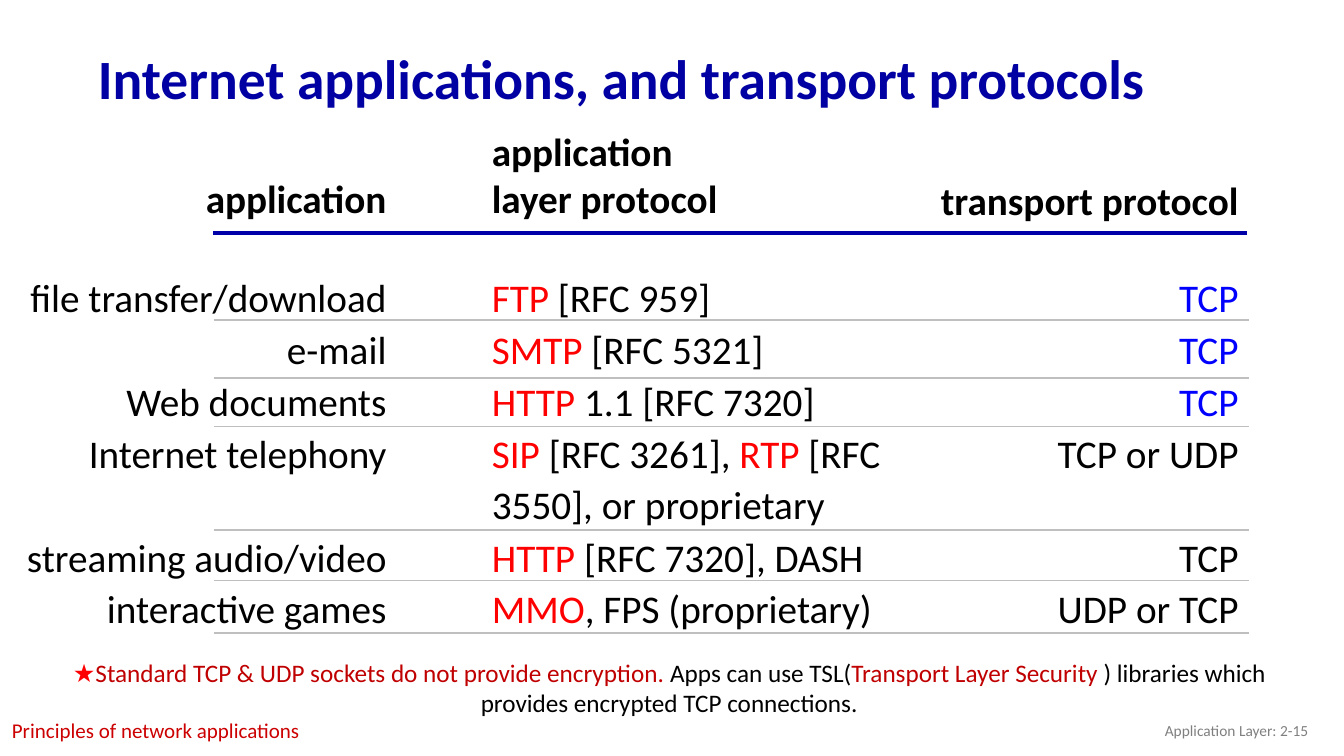
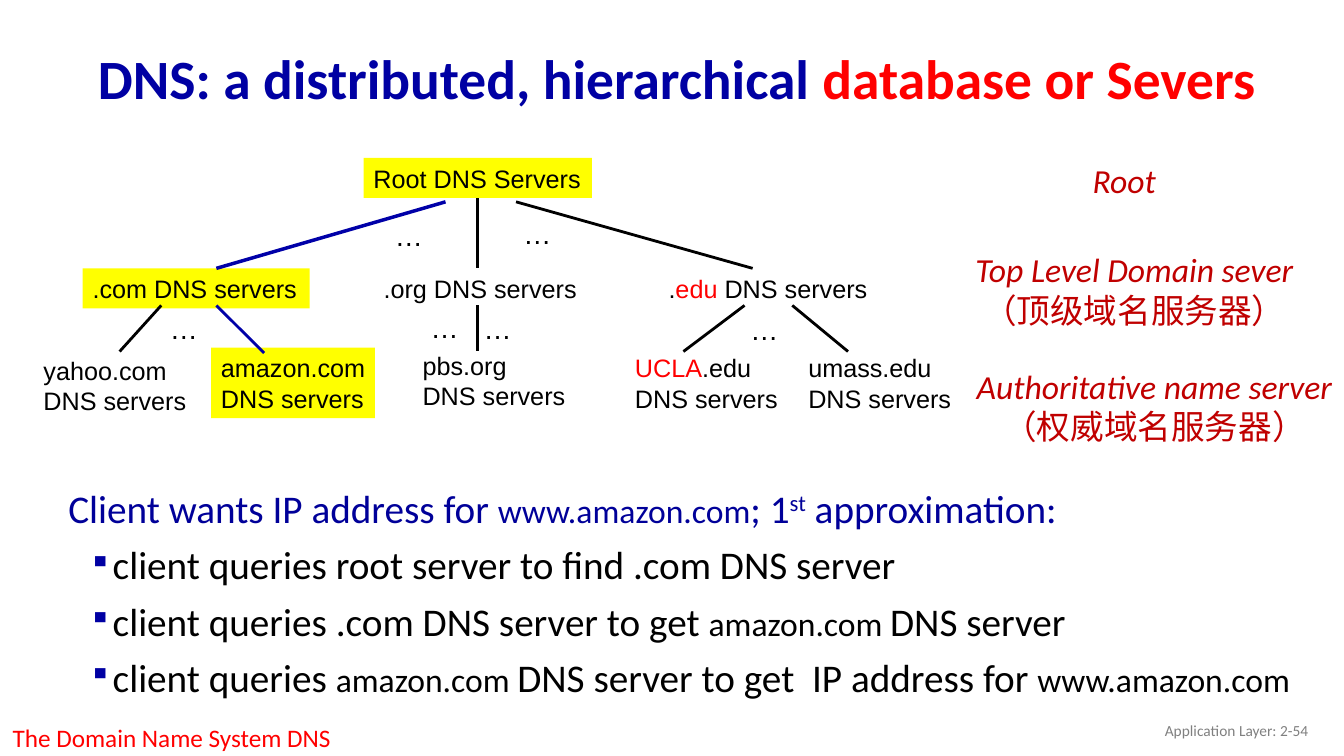
from typing import NamedTuple, Optional

from lxml import etree
from pptx import Presentation
from pptx import util as u
from pptx.dml.color import RGBColor
from pptx.enum import shapes, text
from pptx.oxml.ns import qn

WIDTH, HEIGHT = 13.33, 7.5
COLORS = {
    "title": "0000A3", "rule": "0000A8", "client": "000099", "blue": "0000FF",
    "red": "FF0000", "dark red": "C00000", "section": "CC0000",
    "black": "000000", "gray": "808080", "light gray": "BFBFBF", "yellow": "FFFF00",
}
LEFT, CENTER, RIGHT = text.PP_ALIGN.LEFT, text.PP_ALIGN.CENTER, text.PP_ALIGN.RIGHT
TOP, MIDDLE, BOTTOM = text.MSO_ANCHOR.TOP, text.MSO_ANCHOR.MIDDLE, text.MSO_ANCHOR.BOTTOM


class Box(NamedTuple):
    """A rectangle in percent of the slide's width and height."""
    left: float
    top: float
    width: float
    height: float


class Run(NamedTuple):
    text: str
    color: Optional[str] = None
    size: Optional[float] = None
    italic: Optional[bool] = None
    raised: bool = False


class Column(NamedTuple):
    width: float
    align: text.PP_ALIGN
    indent: float
    header_gap: float


class Entry(NamedTuple):
    application: str
    protocol: list
    transport: str
    color: str
    lines: int
    rule: float


class Node(NamedTuple):
    box: Box
    lines: list
    fill: Optional[str] = None


class Edge(NamedTuple):
    start: tuple
    end: tuple
    color: str = "black"
    width: float = 2


class Label(NamedTuple):
    box: Box
    lines: list


def across(share: float) -> int:
    return u.Inches(WIDTH * share / 100)


def down(share: float) -> int:
    return u.Inches(HEIGHT * share / 100)


def rgb(name: str) -> RGBColor:
    return RGBColor.from_string(COLORS[name])


def add_bullet(paragraph) -> None:
    properties = paragraph._p.get_or_add_pPr()
    properties.set("marL", str(u.Inches(0.44)))
    properties.set("indent", str(u.Inches(-0.24)))
    color = etree.SubElement(properties, qn("a:buClr"))
    etree.SubElement(color, qn("a:srgbClr")).set("val", COLORS["title"])
    etree.SubElement(properties, qn("a:buSzPct")).set("val", "80000")
    etree.SubElement(properties, qn("a:buChar")).set("char", "▪")


def write(frame, paragraphs: list, *, size: float, color: str = "black",
          font: str = "Calibri", bold: bool = False, italic: bool = False,
          align=LEFT, spacing: float = 1, before: float = 0,
          bullets_from: Optional[int] = None) -> None:
    """Fill a text frame; a paragraph is a string or a list of strings and Runs."""
    for index, content in enumerate(paragraphs):
        paragraph = frame.add_paragraph() if index else frame.paragraphs[0]
        if bullets_from is not None and index >= bullets_from:
            add_bullet(paragraph)
        paragraph.alignment = align
        paragraph.line_spacing = spacing
        paragraph.space_before = u.Pt(before if index else 0)
        for part in [content] if isinstance(content, str) else content:
            style = Run(part) if isinstance(part, str) else part
            run = paragraph.add_run()
            run.text = style.text
            run.font.name = font
            run.font.size = u.Pt(style.size or size)
            run.font.bold = bold
            run.font.italic = italic if style.italic is None else style.italic
            run.font.color.rgb = rgb(style.color or color)
            if style.raised:
                run._r.get_or_add_rPr().set("baseline", "30000")


def add_text(slide, box: Box, paragraphs: list, *, fill: Optional[str] = None,
             wrap: bool = True, anchor=TOP, **style):
    place = across(box.left), down(box.top), across(box.width), down(box.height)
    if fill:
        shape = slide.shapes.add_shape(shapes.MSO_SHAPE.RECTANGLE, *place)
        shape.shadow.inherit = False
        shape.fill.solid()
        shape.fill.fore_color.rgb = rgb(fill)
        shape.line.fill.background()
    else:
        shape = slide.shapes.add_textbox(*place)
    shape.text_frame.word_wrap = wrap
    shape.text_frame.vertical_anchor = anchor
    write(shape.text_frame, paragraphs, **style)
    return shape


def add_line(slide, edge: Edge):
    line = slide.shapes.add_connector(
        shapes.MSO_CONNECTOR.STRAIGHT, across(edge.start[0]), down(edge.start[1]),
        across(edge.end[0]), down(edge.end[1]))
    line.line.color.rgb = rgb(edge.color)
    line.line.width = u.Pt(edge.width)
    etree.SubElement(line._element.spPr, qn("a:effectLst"))
    return line


def add_slide(presentation, title: list, page: str):
    """Add a blank slide with the shared title and page number."""
    slide = presentation.slides.add_slide(presentation.slide_layouts[6])
    add_text(slide, Box(6.55, 4.3, 89.2, 13.1), [title], anchor=MIDDLE,
             size=39.6, color="title", bold=True, spacing=0.9)
    add_text(slide, Box(75.6, 94, 22.5, 5.3), [f"Application Layer: {page}"],
             anchor=MIDDLE, size=11, color="gray", align=RIGHT)
    return slide


TABLE_LEFT, TABLE_TOP, HEADER_HEIGHT, ROW_HEIGHT = 0.95, 16.9, 19, 6.87
MARGIN = 0.75
TABLE_COLUMNS = [
    Column(28.55, RIGHT, 0, 6.25),
    Column(39.3, LEFT, 7.1, 6.2),
    Column(24.1, RIGHT, 0, 5.95),
]
HEADERS = [["application"], ["application", "layer protocol"], ["transport protocol"]]
ENTRIES = [
    Entry("file transfer/download", [Run("FTP", "red"), " [RFC 959]"],
          "TCP", "blue", 1, 42.3),
    Entry("e-mail", [Run("SMTP", "red"), " [RFC 5321]"], "TCP", "blue", 1, 50),
    Entry("Web documents", [Run("HTTP ", "red"), "1.1 [RFC 7320]"],
          "TCP", "blue", 1, 56.4),
    Entry("Internet telephony",
          [Run("SIP", "red"), " [RFC 3261], ", Run("RTP", "red"),
           " [RFC 3550], or proprietary"], "TCP or UDP", "black", 2, 70.1),
    Entry("streaming audio/video", [Run("HTTP", "red"), " [RFC 7320], DASH"],
          "TCP", "black", 1, 76.8),
    Entry("interactive games", [Run("MMO", "red"), ", FPS (proprietary)"],
          "UDP or TCP", "black", 1, 83.7),
]


def fill_cell(cell, column: Column, paragraphs: list, *, header: bool = False,
              color: str = "black") -> None:
    cell.fill.background()
    cell.margin_left, cell.margin_right = across(column.indent), across(MARGIN)
    cell.margin_top = 0
    cell.margin_bottom = down(column.header_gap) if header else 0
    cell.vertical_anchor = BOTTOM if header else TOP
    write(cell.text_frame, paragraphs, size=28, color=color, bold=header,
          align=column.align, spacing=1 if header else 1.08)


def add_protocol_table(slide) -> None:
    heights = [HEADER_HEIGHT] + [ROW_HEIGHT * entry.lines for entry in ENTRIES]
    table = slide.shapes.add_table(
        len(heights), len(TABLE_COLUMNS), across(TABLE_LEFT), down(TABLE_TOP),
        across(sum(column.width for column in TABLE_COLUMNS)), down(sum(heights))).table
    table.first_row = table.horz_banding = False
    for row, height in zip(table.rows, heights):
        row.height = down(height)
    for index, column in enumerate(TABLE_COLUMNS):
        table.columns[index].width = across(column.width)
        fill_cell(table.cell(0, index), column, HEADERS[index], header=True)
    for row, entry in enumerate(ENTRIES, 1):
        contents = [entry.application, entry.protocol, entry.transport]
        colors = ["black", "black", entry.color]
        for index, column in enumerate(TABLE_COLUMNS):
            fill_cell(table.cell(row, index), column, [contents[index]],
                      color=colors[index])
    add_line(slide, Edge((15.85, 30.8), (92.8, 30.8), "rule", 2.5))
    for entry in ENTRIES:
        add_line(slide, Edge((15.9, entry.rule), (92.9, entry.rule), "light gray", 1.25))


def add_protocols_slide(presentation) -> None:
    slide = add_slide(presentation, ["Internet applications, and transport protocols"], "2-15")
    add_protocol_table(slide)
    add_text(slide, Box(1.7, 86.3, 96.2, 9.5), [[
        Run("★", "red"),
        Run("Standard TCP & UDP sockets do not provide encryption. ", "dark red"),
        "Apps can use TSL(", Run("Transport Layer Security ", "dark red"),
        ") libraries which provides encrypted TCP connections."]], size=18, align=CENTER)
    add_text(slide, Box(0.15, 94.3, 27.9, 4.7), ["Principles of network applications"],
             size=15, color="section")


SERVERS = "DNS servers"
ROOT = Node(Box(27.05, 20.9, 17, 5.3), ["Root DNS Servers"], "yellow")
NODES = [
    Node(Box(6.15, 35.5, 16.9, 5.3), [".com DNS servers"], "yellow"),
    Node(Box(27.8, 35.5, 16, 5.3), [".org DNS servers"]),
    Node(Box(49, 35.5, 16.4, 5.3), [[".", Run("edu", "red"), " DNS servers"]]),
    Node(Box(2.5, 46.3, 12.4, 9.3), ["yahoo.com", SERVERS]),
    Node(Box(15.7, 46, 12.2, 9.3), ["amazon.com", SERVERS], "yellow"),
    Node(Box(30.7, 45.7, 12.2, 9.3), ["pbs.org", SERVERS]),
    Node(Box(46.5, 46, 12.2, 9.3), [[Run("UCLA", "red"), ".edu"], SERVERS]),
    Node(Box(59.4, 46, 12.2, 9.3), ["umass.edu", SERVERS]),
]
ROOT_TO_ORG = Edge((35.55, 26.2), (35.55, 35.5))
EDGES = [
    Edge((33.15, 26.7), (16.1, 35.5), "rule", 2.5),
    Edge((38.4, 26.7), (56, 35.5)),
    Edge((12, 40.4), (8.9, 46.5)),
    Edge((16.1, 40.4), (19.65, 46.7), "rule"),
    Edge((35.5, 40.4), (35.5, 46.4)),
    Edge((55.4, 40.4), (50.85, 46.5)),
    Edge((58.95, 40.4), (63.1, 46.5)),
]
ELLIPSES = [(28.65, 28.3), (38.2, 28), (11.9, 40.5), (31.3, 40.4), (35.25, 40.5), (55.1, 40.7)]
LEVELS = [
    Label(Box(80.5, 20.5, 6.3, 6.7), ["Root"]),
    Label(Box(71.6, 32.3, 25.6, 12.1),
          ["Top Level Domain sever", [Run("（顶级域名服务器）", italic=False)]]),
    Label(Box(71.8, 47.7, 28.2, 12.1),
          ["Authoritative name server", [Run("（权威域名服务器）", italic=False)]]),
]
STEPS = [
    [Run("Client wants IP address for ", "client"), Run("www.amazon.com", "client", 24),
     Run("; 1", "client"), Run("st", "client", raised=True), Run(" approximation:", "client")],
    "client queries root server to find .com DNS server",
    ["client queries .com DNS server to get ", Run("amazon.com ", size=24), "DNS server"],
    ["client queries ", Run("amazon.com ", size=24), "DNS server to get  IP address for ",
     Run("www.amazon.com", size=24)],
]


def add_node(slide, node: Node):
    return add_text(slide, node.box, node.lines, fill=node.fill, wrap=False,
                    size=18, font="Arial", align=LEFT)


def add_dns_slide(presentation) -> None:
    slide = add_slide(presentation, ["DNS: a distributed, hierarchical ",
                                     Run("database or Severs", "red")], "2-54")
    add_text(slide, Box(4.35, 64.1, 95.6, 31.1), STEPS, size=28, spacing=0.9,
             before=10, bullets_from=1)
    root = add_node(slide, ROOT)
    for node in NODES:
        add_node(slide, node)
    add_line(slide, ROOT_TO_ORG).begin_connect(root, 2)
    for edge in EDGES:
        add_line(slide, edge)
    for left, top in ELLIPSES:
        add_text(slide, Box(left, top, 3.6, 5.7), ["…"], wrap=False, size=20, font="Arial")
    for level in LEVELS:
        add_text(slide, level.box, level.lines, wrap=False, size=24,
                 color="dark red", italic=True, align=CENTER)
    add_text(slide, Box(0.2, 94.9, 50.5, 5.1), ["The Domain Name System DNS"],
             size=18, color="red")


def main() -> None:
    presentation = Presentation()
    presentation.slide_width, presentation.slide_height = u.Inches(WIDTH), u.Inches(HEIGHT)
    add_protocols_slide(presentation)
    add_dns_slide(presentation)
    presentation.save("out.pptx")


if __name__ == "__main__":
    main()
